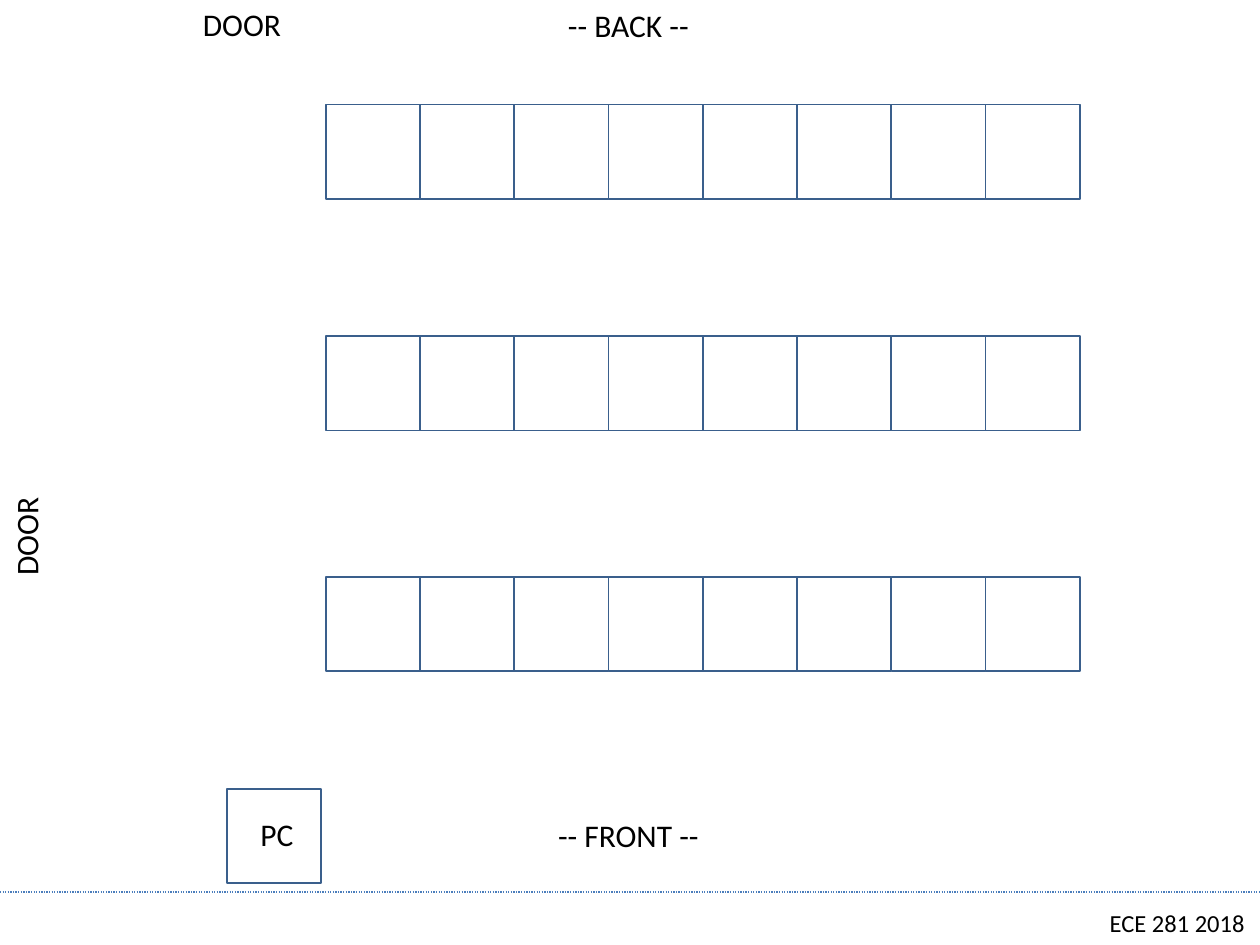
from dataclasses import dataclass

from lxml import etree
from pptx import Presentation
from pptx.dml.color import RGBColor
from pptx.enum.dml import MSO_LINE
from pptx.enum.shapes import MSO_CONNECTOR, MSO_SHAPE
from pptx.enum.text import MSO_AUTO_SIZE
from pptx.oxml.ns import qn
from pptx.slide import Slide
from pptx.util import Cm, Pt

RECT = MSO_SHAPE.RECTANGLE
STRAIGHT = MSO_CONNECTOR.STRAIGHT
DOTTED = MSO_LINE.ROUND_DOT
FIT_SHAPE = MSO_AUTO_SIZE.SHAPE_TO_FIT_TEXT

COLORS = {"seat": "3A5F8C", "divider": "4B7EBC", "text": "000000"}
FONT = "Calibri"
SLIDE_W, SLIDE_H = 25.4, 19.05
SEAT = 1.9
SEATS_PER_ROW = 8
ROW_LEFT = 6.57
ROW_TOPS = (2.11, 6.78, 11.63)
DIVIDER_Y = 17.98


@dataclass
class Label:
    text: str
    left: float
    top: float
    width: float
    height: float = 1.02
    size: int = 18
    rotation: int = 0


LABELS = (
    Label("DOOR", -0.53, 10.29, 2.11, rotation=270),
    Label("-- BACK --", 11.2, 0, 2.97),
    Label("-- FRONT --", 11, 16.33, 3.38),
    Label("PC", 5, 16.31, 1.19),
    Label("ECE 281 2018", 22.12, 18.19, 3.25, height=0.86, size=14),
    Label("DOOR", 3.84, -0.03, 2.11),
)


def rgb(name: str) -> RGBColor:
    return RGBColor.from_string(COLORS[name])


def add_seat(s: Slide, left: float, top: float) -> None:
    sp = s.shapes.add_shape(RECT, Cm(left), Cm(top), Cm(SEAT), Cm(SEAT))
    sp.shadow.inherit = False
    sp.fill.background()
    sp.line.color.rgb = rgb("seat")
    sp.line.width = Pt(1)


def add_divider(s: Slide, y: float) -> None:
    line = s.shapes.add_connector(STRAIGHT, 0, Cm(y), Cm(SLIDE_W), Cm(y))
    line.line.color.rgb = rgb("divider")
    line.line.width = Pt(0.75)
    line.line.dash_style = DOTTED
    etree.SubElement(line._element.spPr, qn("a:effectLst"))


def write(tf, text: str, *, size: int, color: str = "text") -> None:
    r = tf.paragraphs[0].add_run()
    r.text = text
    r.font.name = FONT
    r.font.size = Pt(size)
    r.font.color.rgb = rgb(color)


def add_label(s: Slide, label: Label) -> None:
    sp = s.shapes.add_textbox(
        Cm(label.left), Cm(label.top), Cm(label.width), Cm(label.height)
    )
    sp.rotation = label.rotation
    tf = sp.text_frame
    tf.word_wrap = False
    tf.auto_size = FIT_SHAPE
    write(tf, label.text, size=label.size)


def main() -> None:
    prs = Presentation()
    prs.slide_width, prs.slide_height = Cm(SLIDE_W), Cm(SLIDE_H)
    s = prs.slides.add_slide(prs.slide_layouts[6])
    for top in ROW_TOPS:
        for col in range(SEATS_PER_ROW):
            add_seat(s, ROW_LEFT + col * SEAT, top)
    add_seat(s, 4.57, 15.9)
    add_divider(s, DIVIDER_Y)
    for label in LABELS:
        add_label(s, label)
    prs.save("out.pptx")


main()
